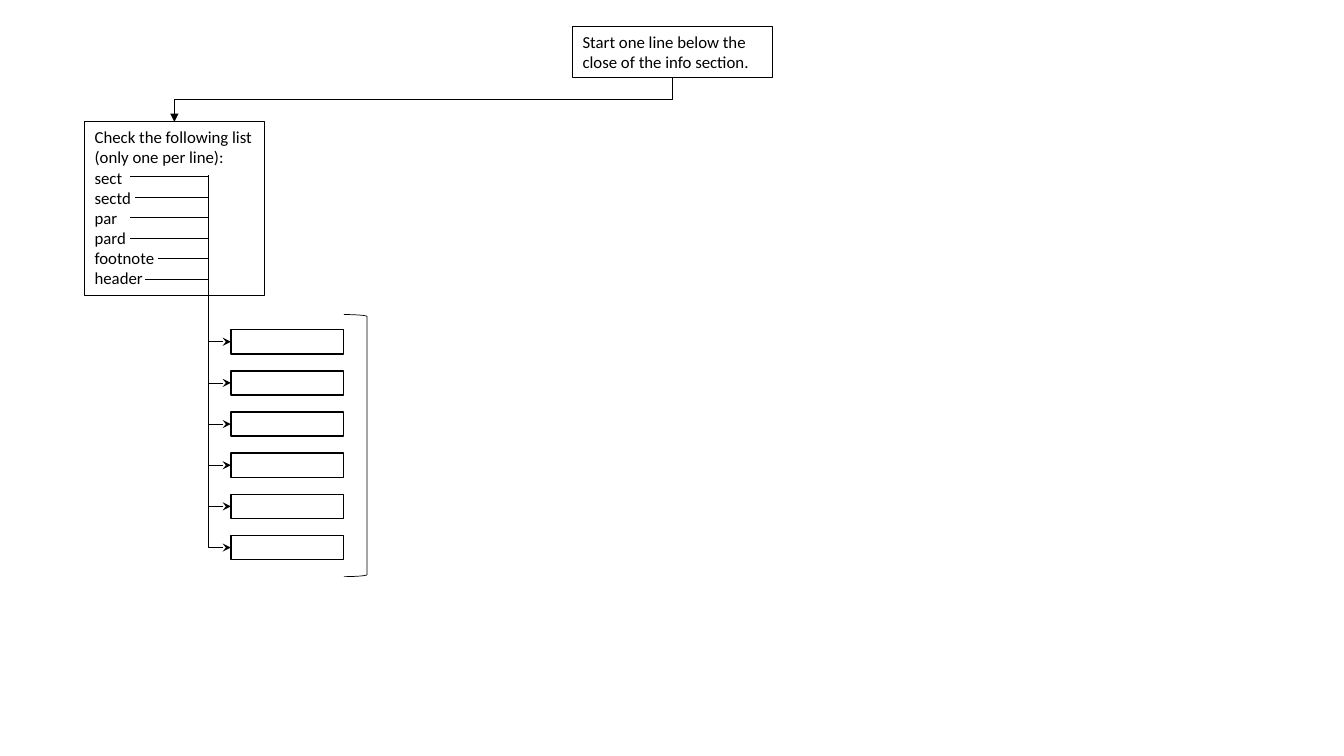
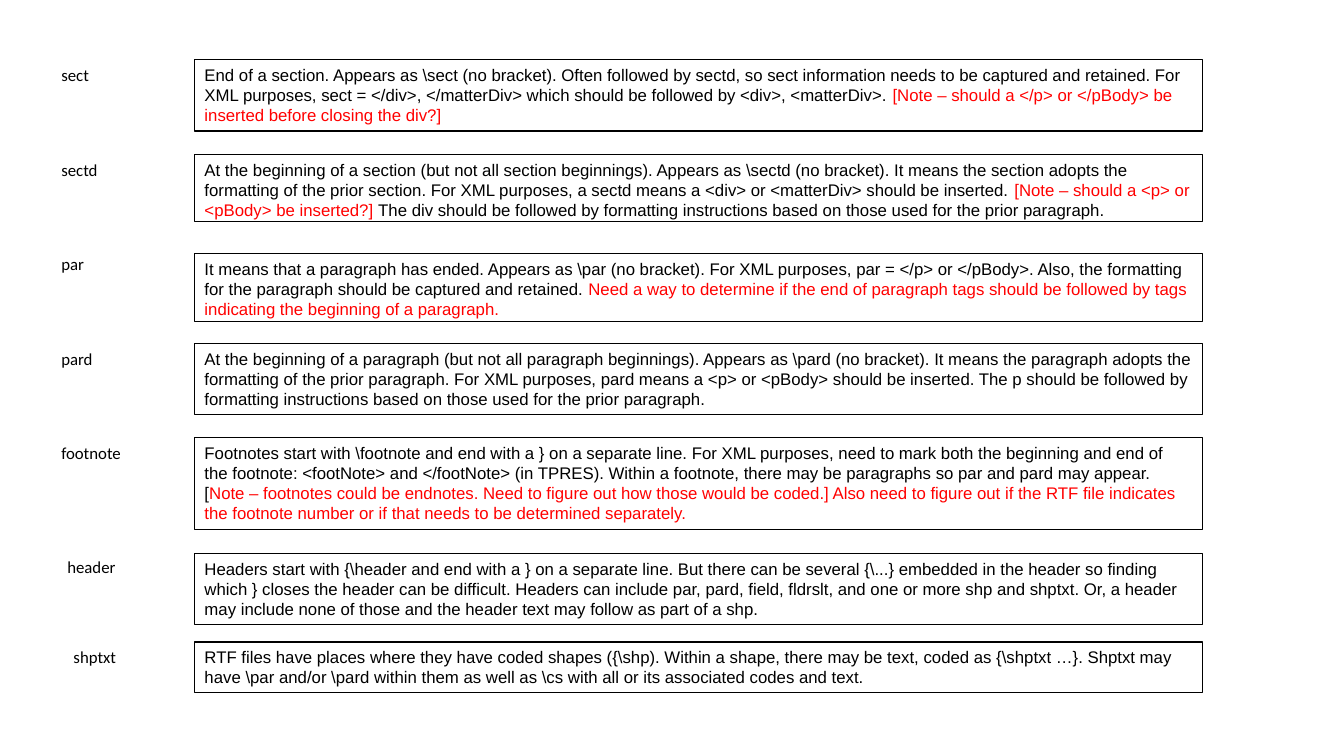
from lxml.etree import SubElement
from pptx import Presentation
from pptx.dml.color import RGBColor
from pptx.enum.shapes import MSO_CONNECTOR, MSO_SHAPE
from pptx.enum.text import MSO_ANCHOR, PP_ALIGN
from pptx.oxml.ns import qn
from pptx.util import Pt

COLORS = {"ink": "000000", "note": "FF0000"}
SANS, BODY = "Calibri", "Arial"

# Keyword, left end of its line within the list box
KEYS = [("sect", 32.4), ("sectd", 36), ("par", 32.4),
        ("pard", 32.4), ("footnote", 52.5), ("header", 43.2)]

# Keyword, label left, top and width, box top and height, text (odd parts are notes)
ROWS = [
    ("sect", 36.7, 42.5, 54, 42.5, 51.1, [
        "End of a section. Appears as \\sect (no bracket). Often followed by sectd, so sect "
        "information needs to be captured and retained. For XML purposes, sect = </div>, "
        "</matterDiv> which should be followed by <div>, <matterDiv>. ",
        "[Note – should a </p> or </pBody> be inserted before closing the div?]"]),
    ("sectd", 36.7, 110.2, 54, 110.2, 48.2, [
        "At the beginning of a section (but not all section beginnings). Appears as \\sectd "
        "(no bracket). It means the section adopts the formatting of the prior section. For "
        "XML purposes, a sectd means a <div> or <matterDiv> should be inserted. ",
        "[Note – should a <p> or <pBody> be inserted?] ",
        "The div should be followed by formatting instructions based on those used for the "
        "prior paragraph."]),
    ("par", 36.7, 177.8, 54, 181.4, 48.2, [
        "It means that a paragraph has ended. Appears as \\par (no bracket). For XML purposes, "
        "par = </p> or </pBody>. Also, the formatting for the paragraph should be captured and "
        "retained. ",
        "Need a way to determine if the end of paragraph tags should be followed by tags "
        "indicating the beginning of a paragraph."]),
    ("pard", 36.7, 245.5, 54, 245.5, 50.4, [
        "At the beginning of a paragraph (but not all paragraph beginnings). Appears as \\pard "
        "(no bracket). It means the paragraph adopts the formatting of the prior paragraph. For "
        "XML purposes, pard means a <p> or <pBody> should be inserted. The p should be followed "
        "by formatting instructions based on those used for the prior paragraph."]),
    ("footnote", 36.7, 312.5, 62.6, 312.5, 65.5, [
        "Footnotes start with \\footnote and end with a } on a separate line. For XML purposes, "
        "need to mark both the beginning and end of the footnote: <footNote> and </footNote> "
        "(in TPRES). Within a footnote, there may be paragraphs so par and pard may appear. [",
        "Note – footnotes could be endnotes. Need to figure out how those would be coded.] Also "
        "need to figure out if the RTF file indicates the footnote number or if that needs to be "
        "determined separately."]),
    ("header", 41, 393.8, 54, 395.3, 51.1, [
        "Headers start with {\\header and end with a } on a separate line. But there can be "
        "several {\\...} embedded in the header so finding which } closes the header can be "
        "difficult. Headers can include par, pard, field, fldrslt, and one or more shp and "
        "shptxt. Or, a header may include none of those and the header text may follow as part "
        "of a shp."]),
    ("shptxt", 45.4, 458.6, 54, 458.6, 36.4, [
        "RTF files have places where they have coded shapes ({\\shp). Within a shape, there may "
        "be text, coded as {\\shptxt …}. Shptxt may have \\par and/or \\pard within them as well "
        "as \\cs with all or its associated codes and text."]),
]


def paint(name):
    """Return the named colour."""
    return RGBColor.from_string(COLORS[name])


def write(shape, paras, face):
    """Fill a shape with paragraphs, each a list of parts; odd parts are notes."""
    frame = shape.text_frame
    frame.word_wrap = True
    frame.vertical_anchor = MSO_ANCHOR.TOP
    for i, parts in enumerate(paras):
        para = frame.add_paragraph() if i else frame.paragraphs[0]
        para.alignment = PP_ALIGN.LEFT
        para.font.name = face
        para.font.size = Pt(12)
        para.font.color.rgb = paint("ink")
        for j, text in enumerate(parts):
            run = para.add_run()
            run.text = text
            run.font.color.rgb = paint("note" if j % 2 else "ink")


def outline(slide, box, weight=0.75, kind=MSO_SHAPE.RECTANGLE):
    """Draw an unfilled shape in the given box."""
    shape = slide.shapes.add_shape(kind, *map(Pt, box))
    shape.shadow.inherit = False
    shape.fill.background()
    shape.line.color.rgb = paint("ink")
    shape.line.width = Pt(weight)
    return shape


def link(slide, start, end, kind=MSO_CONNECTOR.STRAIGHT, tip=None, head="triangle"):
    """Draw a thin connector; tip names the end that carries an arrowhead."""
    line = slide.shapes.add_connector(kind, *map(Pt, start + end))
    line.line.color.rgb = paint("ink")
    line.line.width = Pt(0.5)
    props = line._element.spPr
    if tip:
        SubElement(props.find(qn("a:ln")), qn("a:" + tip), type=head)
    SubElement(props, qn("a:effectLst"))
    return line


def drop(slide, start, end):
    """Draw an arrow that goes down, across and down again."""
    (x1, y1), (x2, y2) = start, end
    midx, midy = (x1 + x2) / 2, (y1 + y2) / 2
    run, fall = abs(x1 - x2) / 2, (y2 - y1) / 2
    line = link(slide, (midx - fall, midy - run), (midx + fall, midy + run),
                MSO_CONNECTOR.ELBOW, "tailEnd")
    line._element.spPr.find(qn("a:xfrm")).set("rot", str(90 * 60000))


def arm(slide, start, end):
    """Draw a single-corner line with its arrowhead at the start."""
    line = link(slide, start, end, MSO_CONNECTOR.ELBOW, "headEnd", "stealth")
    line._element.spPr.find(qn("a:prstGeom")).set("prst", "bentConnector2")


def checks(slide, box, trunk):
    """Draw the keyword list and the lines from each keyword to the trunk."""
    left, top = box[:2]
    intro = "Check the following list (only one per line):"
    write(outline(slide, box), [[intro]] + [[key] for key, _ in KEYS], SANS)
    for i, (_, dx) in enumerate(KEYS):
        y = top + 39 + 14.7 * i
        link(slide, (left + dx, y), (trunk, y))


def targets(slide, box, trunk):
    """Draw the column of empty boxes, their arms and the bracket."""
    left, top, wide, high = box
    tall = 17.3
    pitch = (high - tall) / (len(KEYS) - 1)
    for i in range(len(KEYS)):
        y = top + pitch * i
        outline(slide, (left, y, wide, tall), 1)
        mid = y + tall / 2
        arm(slide, (left, mid), (trunk, mid - 118.8))
    outline(slide, (left + wide, top - 10.8, 16.6, high + 22.9), 0.5,
            MSO_SHAPE.RIGHT_BRACKET)


def flow(slide):
    """Build the flow chart slide."""
    first, listed, trunk = (409, 18.9, 142.5, 36.4), (60.5, 87.1, 128.2, 123.9), 148.5
    write(outline(slide, first),
          [["Start one line below the close of the info section."]], SANS)
    checks(slide, listed, trunk)
    targets(slide, (164.9, 235.5, 80.7, 164.3), trunk)
    drop(slide, (first[0] + first[2] / 2, first[1] + first[3]),
         (listed[0] + listed[2] / 2, listed[1]))


def terms(slide, left, wide):
    """Build the slide that explains each keyword."""
    for key, x, y, room, top, high, parts in ROWS:
        label = slide.shapes.add_textbox(Pt(x), Pt(y), Pt(room), Pt(21.8))
        write(label, [[key]], SANS)
        write(outline(slide, (left, top, wide, high)), [parts], BODY)


def main():
    """Build and save the deck."""
    deck = Presentation()
    deck.slide_width, deck.slide_height = Pt(960), Pt(540)
    blank = deck.slide_layouts[6]
    flow(deck.slides.add_slide(blank))
    terms(deck.slides.add_slide(blank), 139, 720)
    deck.save("out.pptx")


main()
